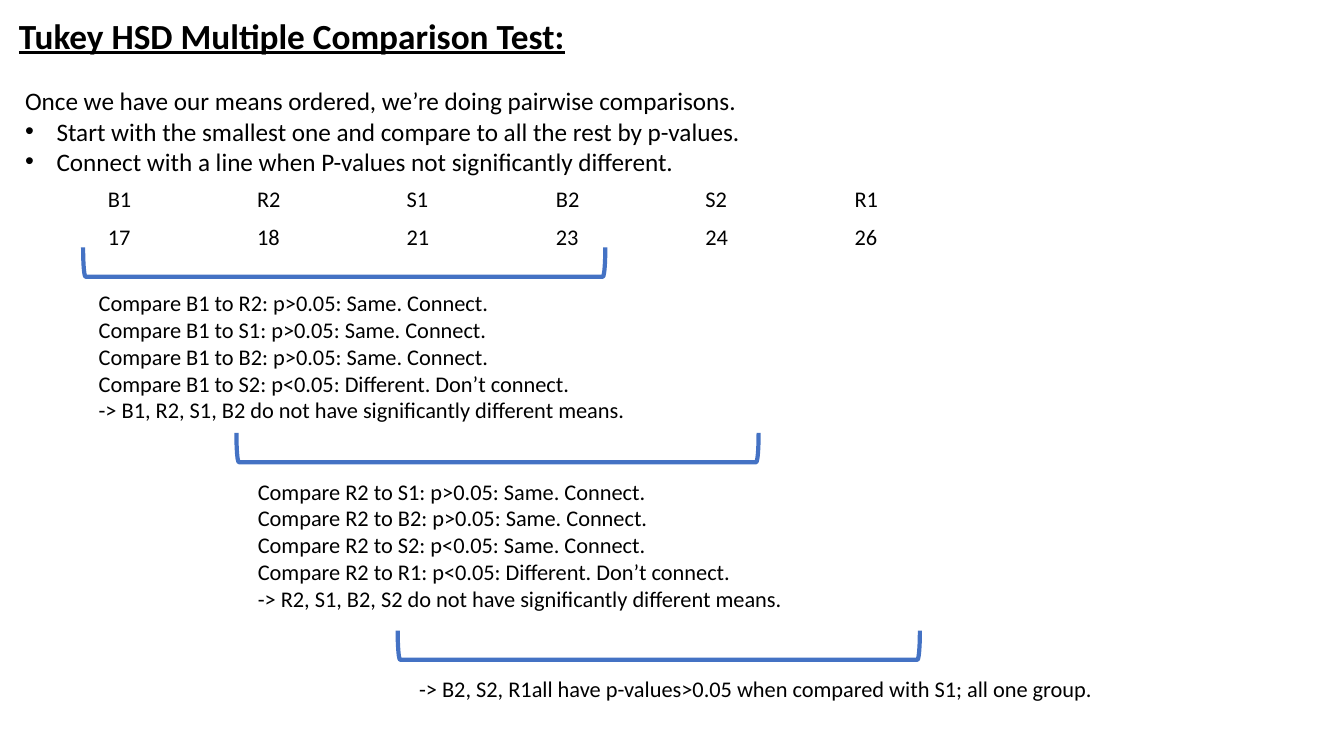
from pptx import Presentation
from pptx.dml.color import RGBColor
from pptx.enum.shapes import MSO_SHAPE as Shape
from pptx.enum.text import MSO_ANCHOR as Anchor
from pptx.oxml.xmlchemy import OxmlElement
from pptx.util import Pt

BLACK = RGBColor(0x00, 0x00, 0x00)
BLUE = RGBColor(0x44, 0x72, 0xC4)

deck = Presentation()
deck.slide_width, deck.slide_height = Pt(960), Pt(540)
page = deck.slides.add_slide(deck.slide_layouts[6])


def set_font(para, size):
    para.font.name = "Calibri"
    para.font.size = Pt(size)
    para.font.color.rgb = BLACK


def add_text(left, top, width, height, lines, size):
    box = page.shapes.add_textbox(Pt(left), Pt(top), Pt(width), Pt(height))
    frame = box.text_frame
    frame.word_wrap = True
    frame.text = "\n".join(lines)
    for para in frame.paragraphs:
        set_font(para, size)
    return frame


# Title
title = add_text(6.5, 10, 883.5, 34, ["Tukey HSD Multiple Comparison Test:"], 25.2)
title.vertical_anchor = Anchor.MIDDLE
heading = title.paragraphs[0]
heading.line_spacing = 0.9
heading.font.bold = True
heading.font.underline = True

# Introduction, with bullets after the first line
intro = add_text(10.8, 57.6, 918.7, 72.7, [
    "Once we have our means ordered, we’re doing pairwise comparisons.",
    "Start with the smallest one and compare to all the rest by p-values.",
    "Connect with a line when P-values not significantly different.",
], 18)
for para in intro.paragraphs[1:]:
    properties = para._p.get_or_add_pPr()
    properties.set("marL", str(Pt(22.5)))
    properties.set("indent", str(-Pt(22.5)))
    bullet_font = OxmlElement("a:buFont")
    bullet_font.set("typeface", "Arial")
    bullet = OxmlElement("a:buChar")
    bullet.set("char", "•")
    properties.append(bullet_font)
    properties.append(bullet)

# Ordered means
means = [("B1", 17), ("R2", 18), ("S1", 21), ("B2", 23), ("S2", 24), ("R1", 26)]
table = page.shapes.add_table(2, len(means), Pt(69.8), Pt(129.6), Pt(640), Pt(56.5)).table
table.first_row = False
table.horz_banding = False
table.rows[0].height, table.rows[1].height = Pt(27.2), Pt(29.3)
for column, pair in enumerate(means):
    table.columns[column].width = Pt(106.7)
    for row, value in enumerate(pair):
        cell = table.cell(row, column)
        cell.text = str(value)
        cell.fill.background()
        set_font(cell.text_frame.paragraphs[0], 16)

# Groups: bracket left and top, text left, top and height, lines
groups = [
    (235.4, 0.7, 63.4, 203, 104.4, [
        "Compare B1 to R2: p>0.05: Same. Connect.",
        "Compare B1 to S1: p>0.05: Same. Connect.",
        "Compare B1 to B2: p>0.05: Same. Connect.",
        "Compare B1 to S2: p<0.05: Different. Don’t connect.",
        "-> B1, R2, S1, B2 do not have significantly different means.",
    ]),
    (344.9, 133.2, 177.1, 337.7, 104.4, [
        "Compare R2 to S1: p>0.05: Same. Connect.",
        "Compare R2 to B2: p>0.05: Same. Connect.",
        "Compare R2 to S2: p<0.05: Same. Connect.",
        "Compare R2 to R1: p<0.05: Different. Don’t connect.",
        "-> R2, S1, B2, S2 do not have significantly different means.",
    ]),
    (460.1, 274.3, 292.3, 478.8, 26.6, [
        "-> B2, S2, R1all have p-values>0.05 when compared with S1; all one group.",
    ]),
]
for bracket_left, bracket_top, text_left, text_top, height, lines in groups:
    bracket = page.shapes.add_shape(
        Shape.LEFT_BRACKET, Pt(bracket_left), Pt(bracket_top), Pt(20.9), Pt(373))
    bracket.rotation = 270
    bracket.shadow.inherit = False
    bracket.fill.background()
    bracket.line.color.rgb = BLUE
    bracket.line.width = Pt(3)
    add_text(text_left, text_top, 573, height, lines, 16)

deck.save("out.pptx")
